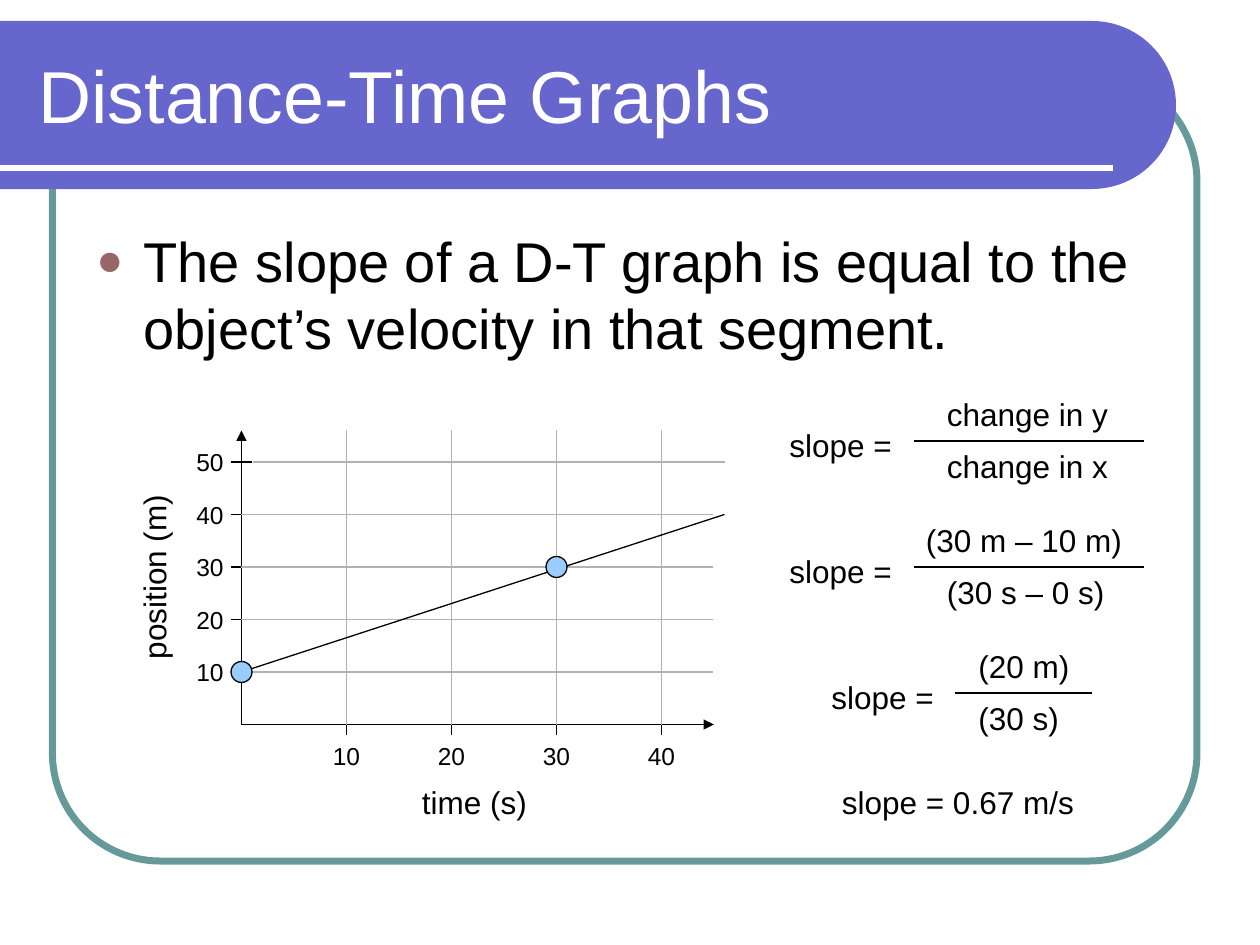
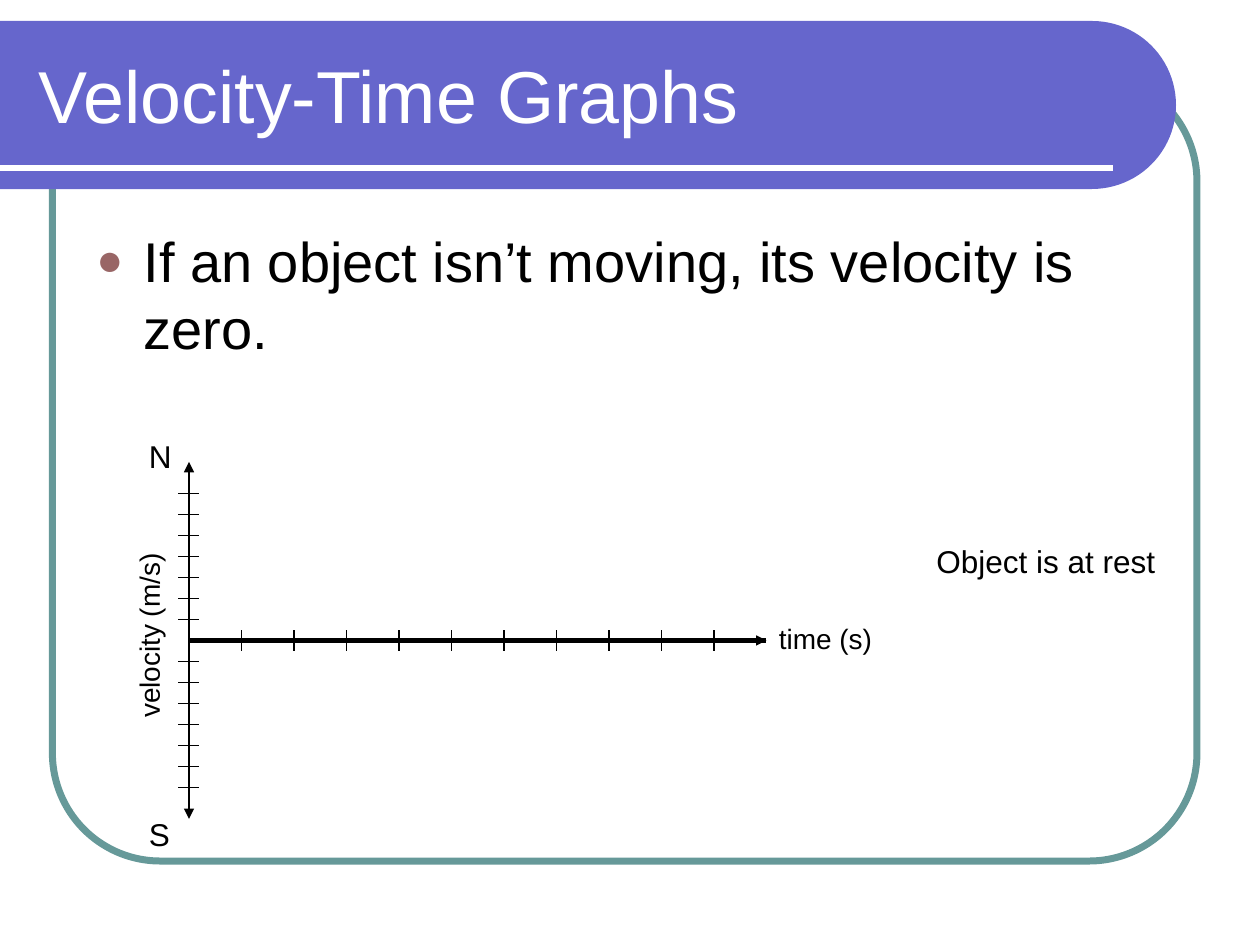
"""Build two slides on distance-time and velocity-time graphs."""
import math
from dataclasses import dataclass

from lxml import etree
from pptx import Presentation
from pptx.dml.color import RGBColor
from pptx.enum import shapes, text
from pptx.oxml.ns import qn
from pptx.util import Pt

FONT = "Arial"
COLORS = {
    "band": "6666CC",
    "frame": "669999",
    "bullet": "996666",
    "marker": "99CCFF",
    "grid": "B2B2B2",
    "ink": "000000",
    "white": "FFFFFF",
}


@dataclass(frozen=True)
class Fraction:
    """A slope equation with its bar and the left edges of its texts."""
    y: float
    label_x: float
    bar: tuple[float, float]
    top: str
    top_x: float
    bottom: str
    bottom_x: float


FRACTIONS = [
    Fraction(252, 444, (522, 654), "change in y", 534, "change in x", 534),
    Fraction(324, 444, (522, 654), "(30 m – 10 m)", 522, "(30 s – 0 s)", 534),
    Fraction(396, 468, (546, 624), "(20 m)", 552, "(30 s)", 552),
]


def rgb(name: str) -> RGBColor:
    """Return a named colour."""
    return RGBColor.from_string(COLORS[name])


def add_text(s, words: str, x: float, y: float, w: float, h: float = 0, *, size: float = 18,
             color: str = "ink", center: bool = False, middle: bool = False,
             rotation: float = 0, bullet: bool = False):
    """Add a wrapped text box; without a height it is one line high."""
    sp = s.shapes.add_textbox(Pt(x), Pt(y), Pt(w), Pt(h or size * 1.2 + 7.2))
    sp.rotation = rotation
    tf = sp.text_frame
    tf.word_wrap = True
    tf.vertical_anchor = text.MSO_ANCHOR.MIDDLE if middle else text.MSO_ANCHOR.TOP
    p = tf.paragraphs[0]
    p.alignment = text.PP_ALIGN.CENTER if center else text.PP_ALIGN.LEFT
    r = p.add_run()
    r.text = words
    r.font.name, r.font.size = FONT, Pt(size)
    r.font.color.rgb = rgb(color)
    if bullet:
        add_bullet(p)
    return sp


def add_bullet(p) -> None:
    """Give a paragraph a round bullet and a hanging indent."""
    pPr = p._p.get_or_add_pPr()
    pPr.set("marL", str(Pt(27)))
    pPr.set("indent", str(-Pt(27)))
    clr = etree.SubElement(pPr, qn("a:buClr"))
    etree.SubElement(clr, qn("a:srgbClr"), val=COLORS["bullet"])
    etree.SubElement(pPr, qn("a:buSzPct"), val="80000")
    etree.SubElement(pPr, qn("a:buFont"), typeface=FONT)
    etree.SubElement(pPr, qn("a:buChar"), char="●")


def add_line(s, x1: float, y1: float, x2: float, y2: float, *, color: str = "ink",
             width: float = 0.75, head: bool = False, tail: bool = False) -> None:
    """Add a straight line with optional arrowheads."""
    c = s.shapes.add_connector(shapes.MSO_CONNECTOR.STRAIGHT, Pt(x1), Pt(y1), Pt(x2), Pt(y2))
    c.line.color.rgb = rgb(color)
    c.line.width = Pt(width)
    ln = c.line._get_or_add_ln()
    for tag, wanted in (("a:headEnd", head), ("a:tailEnd", tail)):
        if wanted:
            etree.SubElement(ln, qn(tag), type="triangle")
    etree.SubElement(c._element.spPr, qn("a:effectLst"))


def add_tick(s, x: float, y: float, vertical: bool) -> None:
    """Add an axis tick centred on a point."""
    dx, dy = (0, 6) if vertical else (6, 0)
    add_line(s, x - dx, y - dy, x + dx, y + dy)


def add_band(s) -> None:
    """Add the title band with its round right end."""
    cx, cy, radius, steps = 624, 60, 48, 48
    angles = [math.pi * (i / steps - 0.5) for i in range(steps + 1)]
    arc = [(Pt(cx + radius * math.cos(a)), Pt(cy + radius * math.sin(a))) for a in angles]
    fb = s.shapes.build_freeform(0, Pt(cy - radius))
    fb.add_line_segments(arc + [(0, Pt(cy + radius))], close=True)
    sp = fb.convert_to_shape()
    sp.shadow.inherit = False
    sp.fill.solid()
    sp.fill.fore_color.rgb = rgb("band")
    sp.line.fill.background()


def add_slide(prs, title: str, body: str):
    """Add a slide with the shared frame, band, title and bullet."""
    s = prs.slides.add_slide(prs.slide_layouts[6])
    sp = s.shapes.add_shape(shapes.MSO_SHAPE.ROUNDED_RECTANGLE, Pt(30), Pt(42), Pt(654), Pt(450))
    sp.adjustments[0] = 0.137
    sp.shadow.inherit = False
    sp.fill.background()
    sp.line.color.rgb = rgb("frame")
    sp.line.width = Pt(4)
    add_band(s)
    add_line(s, 0, 96, 636, 96, color="white", width=3)
    add_text(s, title, 15, 18, 631.5, 72, size=42, color="white", middle=True)
    add_text(s, body, 48, 126, 624, 348, size=32, bullet=True)
    return s


def add_marker(s, x: float, y: float) -> None:
    """Add a round data point centred on a point."""
    sp = s.shapes.add_shape(shapes.MSO_SHAPE.OVAL, Pt(x - 6), Pt(y - 6), Pt(12), Pt(12))
    sp.shadow.inherit = False
    sp.fill.solid()
    sp.fill.fore_color.rgb = rgb("marker")
    sp.line.color.rgb = rgb("ink")
    sp.line.width = Pt(0.75)


def add_fraction(s, f: Fraction) -> None:
    """Add one slope equation."""
    add_text(s, "slope =", f.label_x, f.y - 12, 96)
    add_line(s, f.bar[0], f.y, f.bar[1], f.y)
    add_text(s, f.top, f.top_x, f.y - 30, 138)
    add_text(s, f.bottom, f.bottom_x, f.y, 114)


def add_distance_graph(s) -> None:
    """Draw the distance-time graph."""
    left, top, bottom = 138, 246, 414
    times = {t: left + 6 * t for t in range(10, 50, 10)}
    positions = {d: bottom - 3 * d for d in range(10, 60, 10)}
    add_line(s, left, top, left, bottom, head=True)
    add_line(s, left, bottom, 408, bottom, tail=True)
    for t, x in times.items():
        add_tick(s, x, bottom, True)
        add_text(s, str(t), x - 18, 420, 36, size=14, center=True)
    for d, y in positions.items():
        add_tick(s, left, y, False)
        add_text(s, str(d), left - 36, y - 12, 36, size=14, center=True)
    add_text(s, "time (s)", 234, 444, 78)
    add_text(s, "position (m)", 31, 312.5, 114, rotation=270)
    for x in times.values():
        add_line(s, x, bottom, x, top, color="grid")
    for d, y in positions.items():
        shift = 6.5 if d == 50 else 0
        add_line(s, left + shift, y, 407.5 + shift, y, color="grid")
    add_line(s, left, positions[10], 414, positions[40], color="ink")
    add_marker(s, left, positions[10])
    add_marker(s, times[30], positions[30])


def add_velocity_graph(s) -> None:
    """Draw the velocity-time graph of an object at rest."""
    left, zero, right = 108, 366, 438
    add_line(s, left, 264, left, 468, head=True, tail=True)
    add_line(s, left, zero, right, zero, tail=True)
    for step in range(1, 8):
        for sign in (-1, 1):
            add_tick(s, left, zero + sign * 12 * step, False)
    for step in range(1, 11):
        add_tick(s, left + 30 * step, zero, True)
    add_text(s, "time (s)", right, 351.5, 72, size=16)
    add_text(s, "velocity (m/s)", 28, 350, 114, size=16, center=True, rotation=270)
    add_text(s, "N", 78, 246, 30)
    add_text(s, "S", 78, 462, 30)
    add_line(s, left, zero, right, zero, width=3)


def main() -> None:
    """Build and save the presentation."""
    prs = Presentation()
    prs.slide_width, prs.slide_height = Pt(720), Pt(540)

    s = add_slide(prs, "Distance-Time Graphs",
                  "The slope of a D-T graph is equal to the object’s velocity in that segment.")
    add_distance_graph(s)
    for f in FRACTIONS:
        add_fraction(s, f)
    add_text(s, "slope = 0.67 m/s", 474, 444, 156)

    s = add_slide(prs, "Velocity-Time Graphs", "If an object isn’t moving, its velocity is zero.")
    add_velocity_graph(s)
    add_text(s, "Object is at rest", 528, 306, 168)

    prs.save("out.pptx")


if __name__ == "__main__":
    main()
